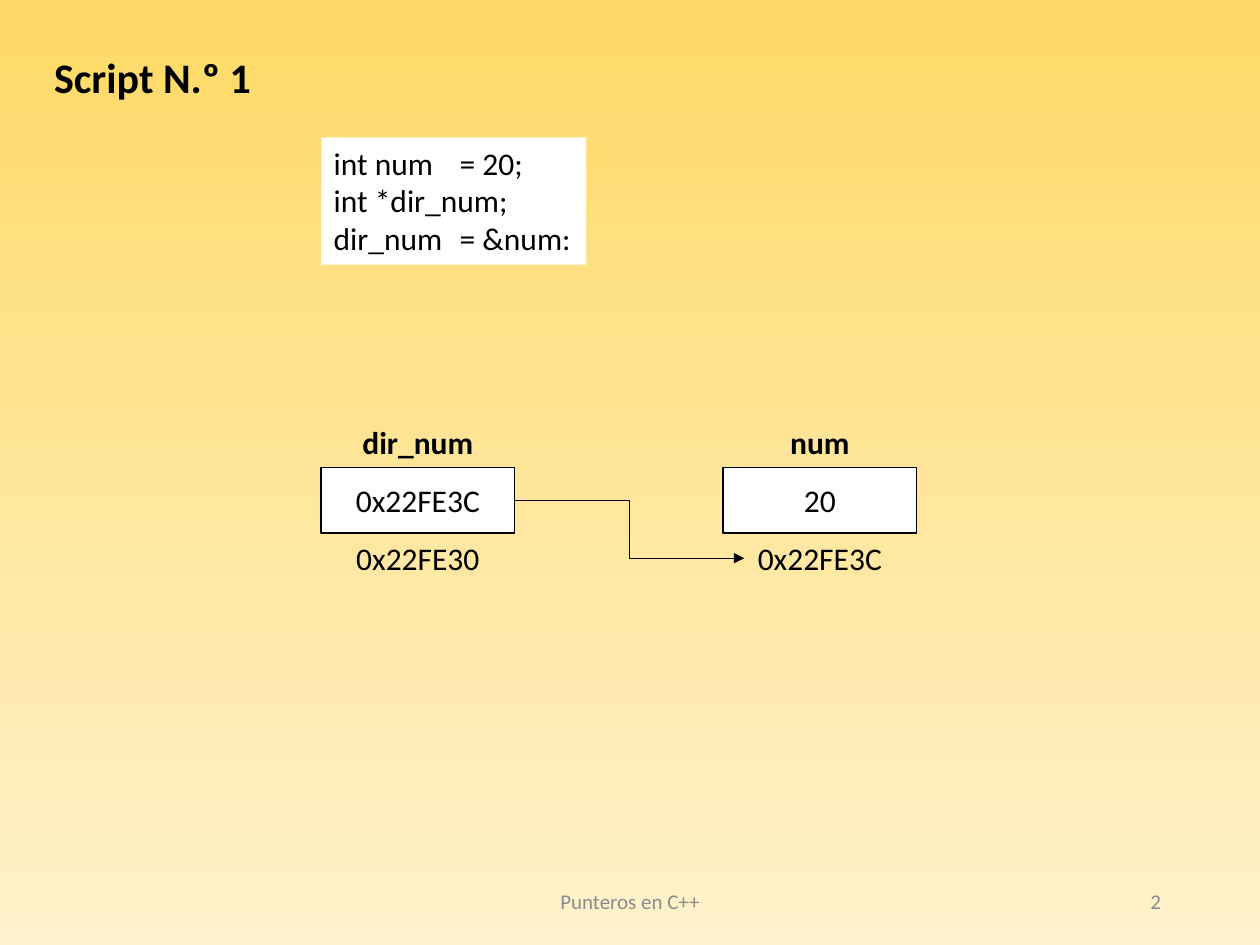
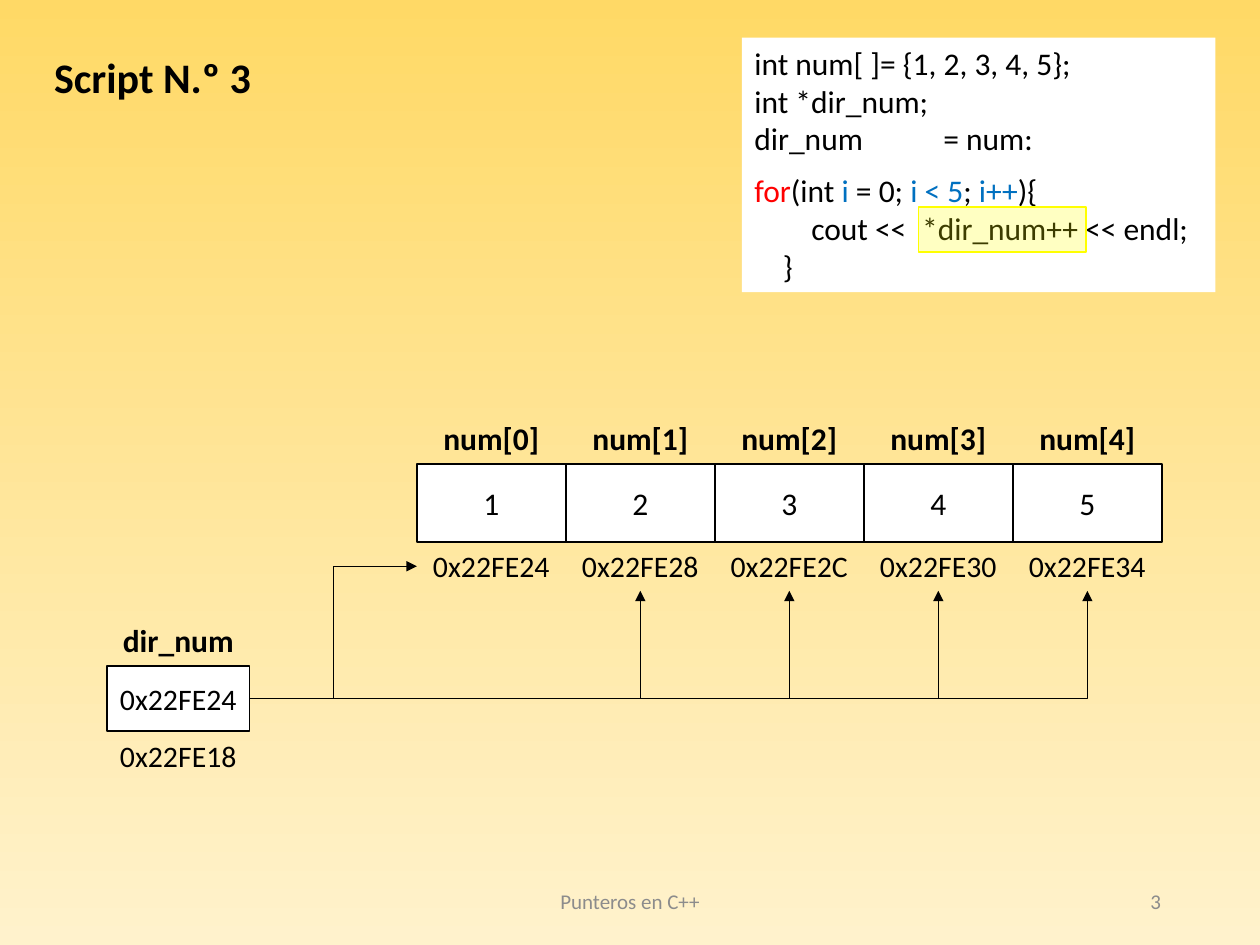
from pptx import Presentation
from pptx.dml.color import RGBColor
from pptx.enum.shapes import MSO_CONNECTOR, MSO_SHAPE
from pptx.enum.text import MSO_ANCHOR as ANCHOR, PP_ALIGN as ALIGN
from pptx.oxml.ns import qn
from pptx.util import Pt
from lxml.etree import SubElement

FONT = "Calibri"
BLACK, WHITE, GRAY = "000000", "FFFFFF", "8C8C8C"
RED, BLUE, YELLOW = "FF0000", "0070C0", "FFFF00"
LABEL_HEIGHT = 29
TOP, LEFT, BOTTOM, RIGHT = range(4)  # connection sites of a rectangle
color = RGBColor.from_string


def add_box(slide, area, paragraphs, size=18, bold=False, ink=BLACK, align=ALIGN.CENTER,
            anchor=ANCHOR.TOP, fill=None, line=None):
    """Add a text box, or a rectangle if filled; a paragraph is a string or (text, colour) runs."""
    area = [Pt(length) for length in area]
    if fill:
        box = slide.shapes.add_shape(MSO_SHAPE.RECTANGLE, *area)
        box.shadow.inherit = False
        box.fill.solid()
        box.fill.fore_color.rgb = color(fill)
        if line:
            box.line.color.rgb = color(line)
            box.line.width = Pt(1)
        else:
            box.line.fill.background()
    else:
        box = slide.shapes.add_textbox(*area)
    frame = box.text_frame
    frame.word_wrap = True
    frame.vertical_anchor = anchor
    if align == ALIGN.CENTER:
        frame.margin_left = frame.margin_right = 0
    for number, content in enumerate(paragraphs):
        paragraph = frame.add_paragraph() if number else frame.paragraphs[0]
        paragraph.alignment = align
        for text, run_ink in [(content, ink)] if isinstance(content, str) else content:
            run = paragraph.add_run()
            run.text = text
            run.font.name = FONT
            run.font.size = Pt(size)
            run.font.bold = bold
            run.font.color.rgb = color(run_ink)
    return box


prs = Presentation()
prs.slide_width, prs.slide_height = Pt(720), Pt(540)

# Shared gradient background, from top to bottom
background = prs.slide_master.background.fill
background.gradient()
background.gradient_angle = 270
for stop, shade in zip(background.gradient_stops, ("FFD966", "FFF2CC")):
    stop.color.rgb = color(shade)

# Title and footer of each slide
slides = []
for page, title in ((2, "Script N.º 1"), (3, "Script N.º 3")):
    slide = prs.slides.add_slide(prs.slide_layouts[6])
    add_box(slide, (238.5, 500.5, 243, 28.75), ["Punteros en C++"], 12,
            ink=GRAY, anchor=ANCHOR.MIDDLE)
    add_box(slide, (508.5, 500.5, 162, 28.75), [str(page)], 12,
            ink=GRAY, align=ALIGN.RIGHT, anchor=ANCHOR.MIDDLE)
    add_box(slide, (23.8, 26, 200, 36), [title], 24, bold=True, align=ALIGN.LEFT)
    slides.append(slide)
single, array = slides

# Code listings
declaration = ["int num \t= 20;", "int *dir_num;", "dir_num \t= &num:"]
array_declaration = ["int num[ ]= {1, 2, 3, 4, 5};", "int *dir_num;", "dir_num \t\t= num:"]
loop = [
    [("for", RED), ("(int ", BLACK), ("i", BLUE), (" = 0; ", BLACK), ("i < 5", BLUE),
     ("; ", BLACK), ("i++", BLUE), ("){", BLACK)],
    "cout <<\u2002*dir_num++ << endl;",
    "}",
]
for slide, area, code in (
    (single, (183.6, 78.5, 151.4, 72.7), declaration),
    (array, (424, 21.5, 270.6, 72.7), array_declaration),
    (array, (424, 94.3, 270.6, 72.7), loop),
):
    listing = add_box(slide, area, code, align=ALIGN.LEFT, fill=WHITE)
for line, indent in zip(listing.text_frame.paragraphs, (0, 32.5, 16.25)):
    line._p.get_or_add_pPr().set("marL", str(Pt(indent)))

highlight = add_box(array, (524.9, 118.1, 95.5, 26), [], fill=YELLOW, line=YELLOW)
tint = highlight.element.spPr.find(qn("a:solidFill"))[0]
SubElement(tint, qn("a:alpha")).set("val", "24000")

# Variables: name above, value in a cell, address below
variables = [
    # slide, name, value, address, cell, value size, address size, address width
    (single, "dir_num", "0x22FE3C", "0x22FE30", (183.6, 267.1, 110.4, 37.4), 18, 18, 86.4),
    (single, "num", "20", "0x22FE3C", (413.3, 267.1, 110.4, 37.4), 18, 18, 86.4),
    (array, "dir_num", "0x22FE24", "0x22FE18", (61.2, 380.5, 81.4, 37.4), 17, 17, 81.4),
]
for index, address in enumerate(("0x22FE24", "0x22FE28", "0x22FE2C", "0x22FE30", "0x22FE34")):
    cell = (238.2 + 85.14 * index, 265, 85.14, 44.6)
    variables.append((array, f"num[{index}]", str(index + 1), address, cell, 18, 17, 85.14))

value_boxes, address_boxes = [], []
for slide, name, value, address, cell, value_size, address_size, address_width in variables:
    left, top, width, height = cell
    add_box(slide, (left, top - LABEL_HEIGHT, width, LABEL_HEIGHT), [name], bold=True)
    value_boxes.append(add_box(slide, cell, [value], value_size, anchor=ANCHOR.MIDDLE,
                               fill=WHITE, line=BLACK))
    address_area = (left + (width - address_width) / 2, top + height, address_width, address_size + 11)
    address_boxes.append(add_box(slide, address_area, [address], address_size))

# Arrows from each pointer to the addresses it takes
arrows = [(single, value_boxes[0], address_boxes[1], LEFT),
          (array, value_boxes[2], address_boxes[3], LEFT)]
arrows += [(array, value_boxes[2], target, BOTTOM) for target in address_boxes[4:]]
for slide, pointer, target, site in arrows:
    start = pointer.left + pointer.width, pointer.top + pointer.height // 2
    if site == LEFT:
        end = target.left, target.top + target.height // 2
    else:
        end = target.left + target.width // 2, target.top + target.height
    arrow = slide.shapes.add_connector(MSO_CONNECTOR.ELBOW, *start, *end)
    arrow.begin_connect(pointer, RIGHT)
    arrow.end_connect(target, site)
    arrow.line.color.rgb = color(BLACK)
    arrow.line.width = Pt(0.5)
    properties = arrow.element.spPr
    if site == BOTTOM:
        properties.find(qn("a:prstGeom")).set("prst", "bentConnector2")
    SubElement(properties.find(qn("a:ln")), qn("a:tailEnd")).set("type", "triangle")
    SubElement(properties, qn("a:effectLst"))

prs.save("out.pptx")
